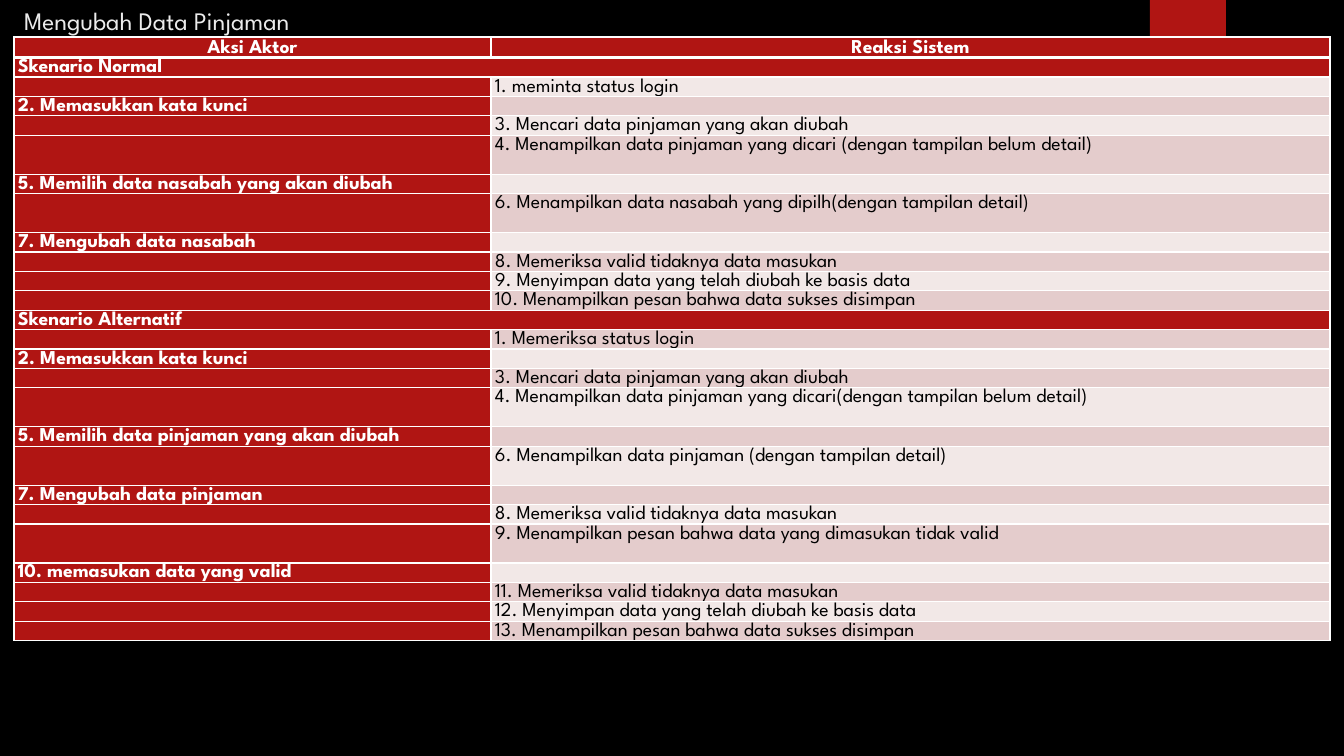
from pptx import Presentation
from pptx.dml.color import RGBColor
from pptx.enum.shapes import MSO_SHAPE
from pptx.enum.text import MSO_ANCHOR, MSO_AUTO_SIZE, PP_ALIGN
from pptx.oxml import parse_xml
from pptx.oxml.ns import nsdecls
from pptx.util import Emu, Pt

RED, WHITE, BLACK = "B01513", "FFFFFF", "000000"
BANDS = ["F2E8E7", "E4CCCC"]
ROW, TALL_ROW = 19, 39


def px(n):
    return Emu(round(n * 914400 / 100.8))


def add_run(p, text, size, color, bold=False):
    r = p.add_run()
    r.text = text
    r.font.name = "League Spartan"
    r.font.size = Pt(size)
    r.font.bold = bold
    r.font.color.rgb = RGBColor.from_string(color)


steps = [
    ("Aksi Aktor", "Reaksi Sistem", ROW),
    ("Skenario Normal", None, ROW),
    ("", "1. meminta status login", ROW),
    ("2. Memasukkan kata kunci", "", ROW),
    ("", "3. Mencari data pinjaman yang akan diubah", ROW),
    ("", "4. Menampilkan data pinjaman yang dicari (dengan tampilan belum detail)", TALL_ROW),
    ("5. Memilih data nasabah yang akan diubah", "", ROW),
    ("", "6. Menampilkan data nasabah yang dipilh(dengan tampilan detail)", TALL_ROW),
    ("7. Mengubah data nasabah", "", ROW),
    ("", "8. Memeriksa valid tidaknya data masukan", ROW),
    ("", "9. Menyimpan data yang telah diubah ke basis data", ROW),
    ("", "10. Menampilkan pesan bahwa data sukses disimpan", ROW),
    ("Skenario Alternatif", None, ROW),
    ("", "1. Memeriksa status login", ROW),
    ("2. Memasukkan kata kunci", "", ROW),
    ("", "3. Mencari data pinjaman yang akan diubah", ROW),
    ("", "4. Menampilkan data pinjaman yang dicari(dengan tampilan belum detail)", TALL_ROW),
    ("5. Memilih data pinjaman yang akan diubah", "", ROW),
    ("", "6. Menampilkan data pinjaman (dengan tampilan detail)", TALL_ROW),
    ("7. Mengubah data pinjaman", "", ROW),
    ("", "8. Memeriksa valid tidaknya data masukan", ROW),
    ("", "9. Menampilkan pesan bahwa data yang dimasukan tidak valid", TALL_ROW),
    ("10. memasukan data yang valid", "", ROW),
    ("", "11. Memeriksa valid tidaknya data masukan", ROW),
    ("", "12. Menyimpan data yang telah diubah ke basis data", ROW),
    ("", "13. Menampilkan pesan bahwa data sukses disimpan", ROW),
]

prs = Presentation()
prs.slide_width, prs.slide_height = px(1344), px(756)
s = prs.slides.add_slide(prs.slide_layouts[5])
s.background.fill.solid()
s.background.fill.fore_color.rgb = RGBColor.from_string(BLACK)

tab = s.shapes.add_shape(MSO_SHAPE.RECTANGLE, px(1150), 0, px(76), px(126))
tab.shadow.inherit = False
tab.fill.solid()
tab.fill.fore_color.rgb = RGBColor.from_string(RED)
tab.line.fill.background()

title = s.shapes.title
title.left, title.top, title.width, title.height = px(14), 0, px(1060), px(119)
tf = title.text_frame
tf.word_wrap = True
tf.auto_size = MSO_AUTO_SIZE.NONE
tf.vertical_anchor = MSO_ANCHOR.TOP
tf.margin_left, tf.margin_top = px(10), px(5)
p = tf.paragraphs[0]
p.alignment = PP_ALIGN.LEFT
add_run(p, "Mengubah Data Pinjaman", 18, "EBEBEB")

height = sum(step[2] for step in steps)
table = s.shapes.add_table(len(steps), 2, px(14), px(37), px(1316), px(height)).table
table.first_row = table.horz_banding = False
table.columns[0].width, table.columns[1].width = px(477), px(839)

for i, (actor, system, row_height) in enumerate(steps):
    table.rows[i].height = px(row_height)
    for j, text in enumerate((actor, system)):
        cell = table.cell(i, j)
        cell.margin_left = cell.margin_right = px(4)
        cell.margin_top = cell.margin_bottom = 0
        strong = j == 0 or i == 0 or system is None
        p = cell.text_frame.paragraphs[0]
        p.line_spacing = Pt(14.7) if i == 0 else 1.07
        p.alignment = PP_ALIGN.CENTER if i == 0 else PP_ALIGN.LEFT
        if text:
            add_run(p, text, 14, WHITE if strong else BLACK, strong)
        else:
            p._p.get_or_add_endParaRPr().set("sz", "800")
        for side in "LRTB":
            thick = (i, side) in ((0, "B"), (1, "T"))
            cell._tc.get_or_add_tcPr().append(parse_xml(
                f'<a:ln{side} {nsdecls("a")} w="{Pt(3 if thick else 1)}"><a:solidFill>'
                f'<a:srgbClr val="{WHITE}"/></a:solidFill></a:ln{side}>'))
        cell.fill.solid()
        cell.fill.fore_color.rgb = RGBColor.from_string(RED if strong else BANDS[i % 2])
    if system is None:
        table.cell(i, 0).merge(table.cell(i, 1))

prs.save("out.pptx")
